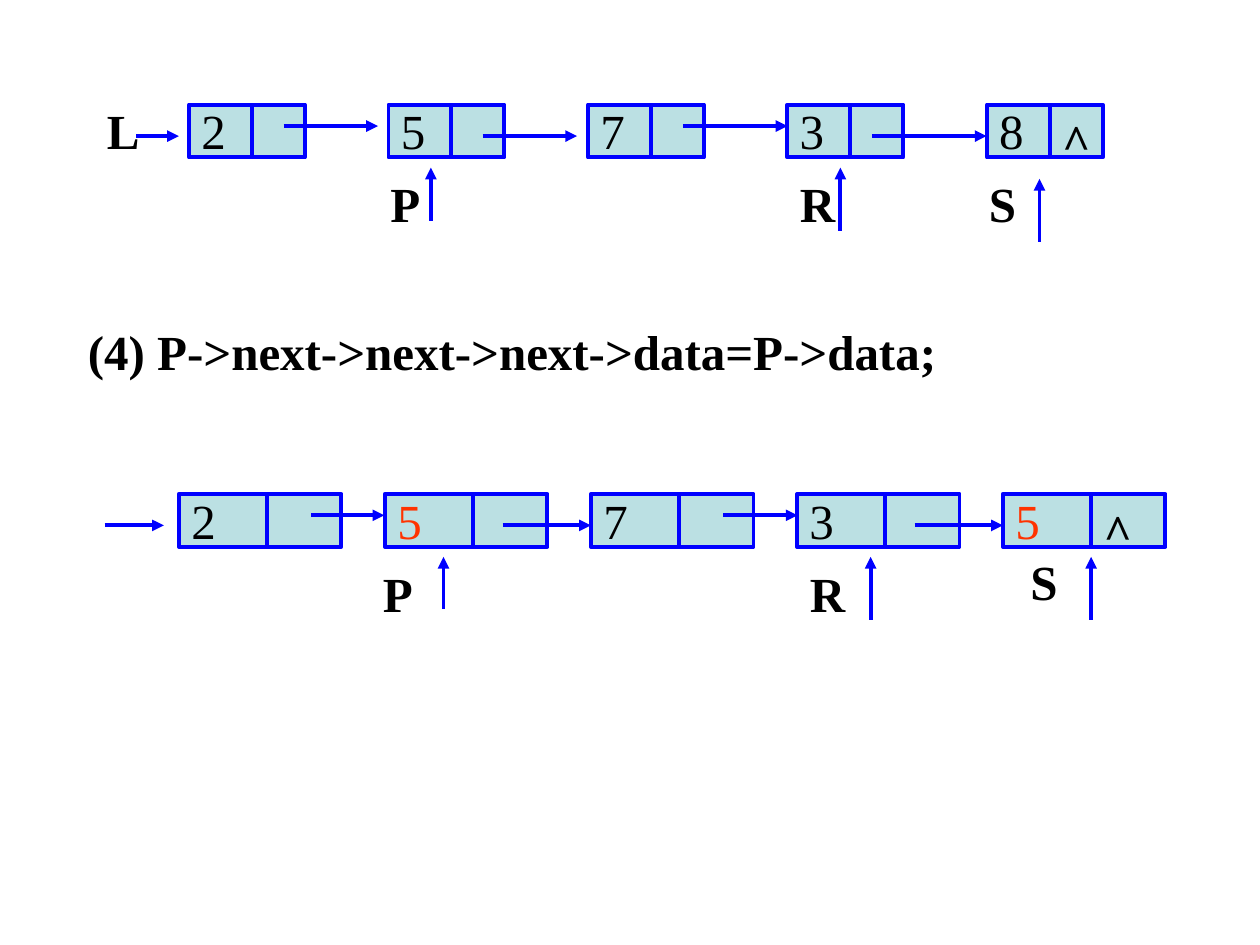
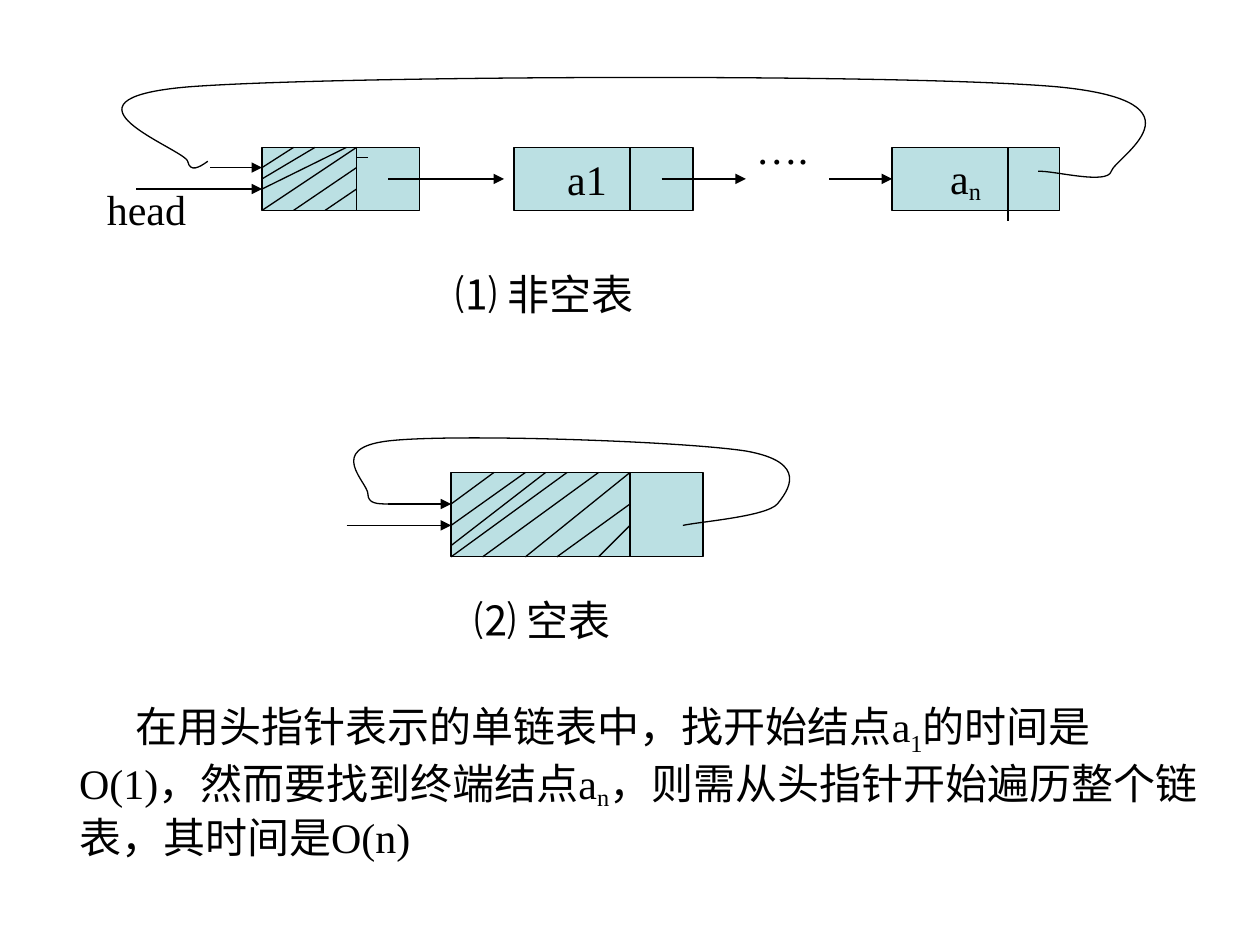
from lxml import etree
from pptx import Presentation
from pptx.dml.color import RGBColor
from pptx.enum import shapes, text
from pptx.oxml import ns
from pptx.util import Inches, Pt

BLACK = RGBColor(0x00, 0x00, 0x00)
BLUE = RGBColor(0x00, 0x00, 0xFF)
RED = RGBColor(0xFF, 0x33, 0x00)
NODE_FILL = RGBColor(0xBB, 0xE0, 0xE3)
FONT = "Times New Roman"
BLANK_LAYOUT = 6
THICK, THIN = 2.25, 0.75
NODE_HEIGHT = 0.42


def add_spans(para, spans, size, color=BLACK, bold=False):
    """Add (wording, baseline percent) runs to a paragraph."""
    for wording, baseline in spans:
        span = para.add_run()
        span.text = wording
        span.font.name = FONT
        span.font.size = Pt(size)
        span.font.bold = bold
        span.font.color.rgb = color
        if baseline:
            span.font._element.set("baseline", str(baseline * 1000))


def add_text(page, left, top, width, height, spans, size=28, color=BLACK,
             bold=False, indent=0):
    if isinstance(spans, str):
        spans = [(spans, 0)]
    box = page.shapes.add_textbox(
        Inches(left), Inches(top), Inches(width), Inches(height))
    box.text_frame.word_wrap = True
    para = box.text_frame.paragraphs[0]
    if indent:
        para._p.get_or_add_pPr().set("indent", str(Inches(indent)))
    add_spans(para, spans, size, color, bold)
    return box


def add_line(page, start, end, color=BLACK, weight=THIN, arrow=False):
    line = page.shapes.add_connector(
        shapes.MSO_CONNECTOR.STRAIGHT,
        Inches(start[0]), Inches(start[1]), Inches(end[0]), Inches(end[1]))
    line.line.color.rgb = color
    line.line.width = Pt(weight)
    if arrow:
        tail = etree.SubElement(line.line._get_or_add_ln(), ns.qn("a:tailEnd"))
        tail.set("type", "triangle")
    etree.SubElement(line._element.spPr, ns.qn("a:effectLst"))
    return line


def add_node(page, left, top, width, height, color=BLACK, weight=THIN):
    node = page.shapes.add_shape(
        shapes.MSO_SHAPE.RECTANGLE,
        Inches(left), Inches(top), Inches(width), Inches(height))
    node.shadow.inherit = False
    node.fill.solid()
    node.fill.fore_color.rgb = NODE_FILL
    node.line.color.rgb = color
    node.line.width = Pt(weight)
    return node


def label_node(node, spans, right_margin):
    """Centre a label in the node, shifted left by a wider right margin."""
    frame = node.text_frame
    frame.word_wrap = False
    frame.margin_right = Inches(right_margin)
    frame.vertical_anchor = text.MSO_ANCHOR.MIDDLE
    para = frame.paragraphs[0]
    para.alignment = text.PP_ALIGN.CENTER
    add_spans(para, spans, 24)


def add_curve(page, start, controls):
    """Draw cubic curves; each three control points make one segment."""
    builder = page.shapes.build_freeform(
        Inches(start[0]), Inches(start[1]))
    builder.add_line_segments(
        [(Inches(x), Inches(y)) for x, y in controls], close=False)
    curve = builder.convert_to_shape()
    curve.shadow.inherit = False
    curve.fill.background()
    curve.line.color.rgb = BLACK
    curve.line.width = Pt(THIN)
    steps = list(curve._element.iter(ns.qn("a:lnTo")))
    outline = steps[0].getparent()
    for first in range(0, len(steps), 3):
        cubic = etree.SubElement(outline, ns.qn("a:cubicBezTo"))
        for step in steps[first:first + 3]:
            cubic.append(step[0])
            outline.remove(step)


def add_hatching(page, strokes):
    for start, end in strokes:
        add_line(page, start, end)


def add_chain(page, left, top, pitch, width, data_width, cells, entry, links):
    """Draw a linked list with its entry arrow and alternating links."""
    for index, (value, color) in enumerate(cells):
        x = left + index * pitch
        divider = x + data_width
        add_node(page, x, top, width, NODE_HEIGHT, BLUE, THICK)
        add_line(page, (divider, top), (divider, top + NODE_HEIGHT),
                 BLUE, THICK)
        add_text(page, x, top - 0.08, data_width, 0.57, value, color=color)
    add_text(page, divider, top, width - data_width, 0.57, "^", bold=True)
    low, high = top + 0.25, top + 0.17
    for index, (start, end) in enumerate([entry] + links):
        y = high if index % 2 else low
        add_line(page, (start, y), (end, y), BLUE, THICK, arrow=True)


def add_pointer(page, name, label_at, arrow_x, tail_y, head_y):
    add_text(page, *label_at, 0.75, 0.57, name, bold=True)
    add_line(page, (arrow_x, tail_y), (arrow_x, head_y), BLUE, THICK,
             arrow=True)


def build_assignment_slide(page):
    # List before the assignment
    add_text(page, 0.75, 0.75, 0.5, 0.57, "L", bold=True)
    add_chain(page, 1.5, 0.83, 1.583, 0.92, 0.5,
              [(value, BLACK) for value in "25738"], (1.08, 1.42),
              [(2.25, 3), (3.83, 4.58), (5.42, 6.25), (6.92, 7.83)])
    add_pointer(page, "P", (3, 1.33), 3.42, 1.75, 1.33)
    add_pointer(page, "R", (6.25, 1.33), 6.67, 1.83, 1.33)
    add_pointer(page, "S", (7.75, 1.33), 8.25, 1.92, 1.42)

    # Statement
    add_text(page, 0.6, 2.5, 7.3, 0.57,
             "(4) P->next->next->next->data=P->data;", bold=True)

    # List after the assignment, equal values in red
    add_chain(page, 1.42, 3.92, 1.635, 1.29, 0.7,
              [(value, RED if value == "5" else BLACK) for value in "25735"],
              (0.83, 1.3),
              [(2.47, 3.05), (3.99, 4.69), (5.74, 6.33), (7.26, 7.96)])
    add_pointer(page, "P", (2.94, 4.42), 3.52, 4.83, 4.42)
    add_pointer(page, "R", (6.33, 4.42), 6.91, 4.92, 4.42)
    add_pointer(page, "S", (8.08, 4.33), 8.66, 4.92, 4.42)


def build_circular_slide(page):
    # Non-empty circular list
    add_node(page, 2.08, 1.17, 1.25, 0.5)
    first_node = add_node(page, 4.08, 1.17, 1.42, 0.5)
    label_node(first_node, [("a1", 0)], 0.36)
    last_node = add_node(page, 7.08, 1.17, 1.33, 0.5)
    label_node(last_node, [("a", 0), ("n", -14)], 0.26)
    for x, bottom in ((2.83, 1.67), (5, 1.67), (8, 1.75)):
        add_line(page, (x, 1.17), (x, bottom))
    for start, end, y in ((3.08, 4, 1.42), (5.25, 5.92, 1.42),
                          (1.08, 2.08, 1.5), (1.67, 2.08, 1.33)):
        add_line(page, (start, y), (end, y), arrow=True)
    last_link = add_line(page, (6.58, 1.42), (7.08, 1.42), arrow=True)
    last_link.end_connect(last_node, 1)
    add_curve(page, (1.65, 1.28), [
        (1.58, 1.33), (1.51, 1.37), (1.49, 1.28),
        (1.46, 1.18), (0.33, 0.79), (1.49, 0.69),
        (2.64, 0.6), (7.18, 0.58), (8.4, 0.69),
        (9.63, 0.81), (8.85, 1.25), (8.82, 1.36),
        (8.79, 1.47), (8.35, 1.35), (8.24, 1.36)])
    add_hatching(page, [
        ((2.33, 1.17), (2.08, 1.33)), ((2.5, 1.17), (2.08, 1.42)),
        ((2.75, 1.17), (2.08, 1.5)), ((2.83, 1.17), (2.08, 1.67)),
        ((2.83, 1.33), (2.33, 1.67)), ((2.83, 1.5), (2.58, 1.67)),
        ((2.83, 1.25), (2.92, 1.25))])
    add_text(page, 5.9, 0.92, 0.68, 0.5, "….", 24)
    add_text(page, 0.75, 1.41, 1.17, 0.5, "head", 24)
    add_text(page, 3.52, 2.08, 2.56, 0.5, "⑴ 非空表", 24)

    # Empty circular list
    add_node(page, 3.58, 3.75, 2, 0.67)
    add_line(page, (5, 3.75), (5, 4.42))
    for start, y in ((2.75, 4.17), (3.08, 4)):
        add_line(page, (start, y), (3.58, y), arrow=True)
    add_hatching(page, [
        ((3.92, 3.75), (3.58, 4)), ((4.17, 3.75), (3.58, 4.17)),
        ((4.33, 3.75), (3.58, 4.33)), ((4.5, 3.75), (3.58, 4.42)),
        ((4.75, 3.75), (3.83, 4.42)), ((5, 3.75), (4.17, 4.42)),
        ((5, 4), (4.42, 4.42)), ((5, 4.17), (4.75, 4.42))])
    add_curve(page, (3.08, 4), [
        (3, 4), (2.92, 4), (2.92, 3.92),
        (2.92, 3.83), (2.58, 3.56), (3.08, 3.5),
        (3.58, 3.44), (5.4, 3.5), (5.92, 3.58),
        (6.43, 3.67), (6.25, 3.9), (6.17, 4),
        (6.08, 4.1), (5.56, 4.14), (5.42, 4.17)])
    add_text(page, 3.67, 4.67, 1.92, 0.5, "⑵ 空表", 24)

    # Explanation
    add_text(page, 0.53, 5.51, 9.17, 1.38, [
        ("在用头指针表示的单链表中，找开始结点a", 0), ("1", -25),
        ("的时间是O(1)，然而要找到终端结点a", 0), ("n", -16),
        ("，则需从头指针开始遍历整个链表，其时间是O(n)", 0)],
        24, indent=0.45)


def main():
    deck = Presentation()
    deck.slide_width = Inches(10)
    deck.slide_height = Inches(7.5)
    for build in (build_assignment_slide, build_circular_slide):
        build(deck.slides.add_slide(deck.slide_layouts[BLANK_LAYOUT]))
    deck.save("out.pptx")


if __name__ == "__main__":
    main()
